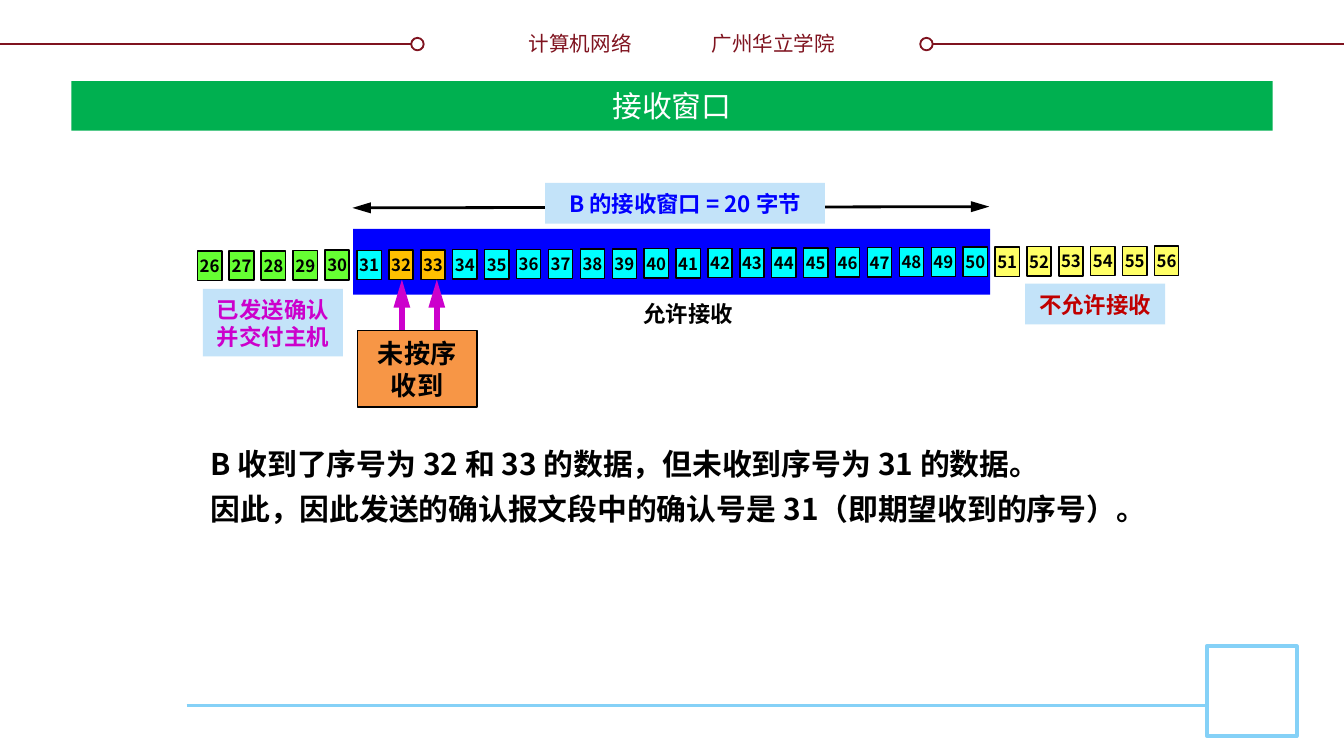
from lxml import etree
from pptx import Presentation
from pptx.dml.color import RGBColor
from pptx.enum import shapes, text
from pptx.oxml import ns
from pptx.util import Pt

FONT = "Noto Sans CJK SC"
BLACK = RGBColor(0, 0, 0)
WHITE = RGBColor(255, 255, 255)
MAROON = RGBColor(0x7F, 0x13, 0x1F)
SKY = RGBColor(0x85, 0xD1, 0xF7)
PALE_BLUE = RGBColor(0xC3, 0xE3, 0xF9)
BLUE = RGBColor(0, 0, 255)
RED = RGBColor(0xC0, 0, 0)
PURPLE = RGBColor(0xCC, 0, 0xCC)
ORANGE = RGBColor(0xF7, 0x96, 0x46)
BANNER = RGBColor(0, 0xB0, 0x50)
GREEN = RGBColor(0x66, 0xFF, 0x33)
CYAN = RGBColor(0, 255, 255)
AMBER = RGBColor(255, 0xC0, 0)
YELLOW = RGBColor(255, 255, 0x66)

CENTER = text.PP_ALIGN.CENTER
MIDDLE = text.MSO_ANCHOR.MIDDLE
RECTANGLE = shapes.MSO_SHAPE.RECTANGLE


def add_figure(page, left, top, width, height, fill, line=None, weight=0.75,
               kind=RECTANGLE):
    figure = page.shapes.add_shape(
        kind, Pt(left), Pt(top), Pt(width), Pt(height))
    figure.shadow.inherit = False
    figure.fill.solid()
    figure.fill.fore_color.rgb = fill
    if line is None:
        figure.line.fill.background()
    else:
        figure.line.color.rgb = line
        figure.line.width = Pt(weight)
    return figure


def add_text_box(page, left, top, width, height):
    return page.shapes.add_textbox(Pt(left), Pt(top), Pt(width), Pt(height))


def write(box, words, size, color, bold=True, align=CENTER, anchor=MIDDLE,
          wrap=False, spacing=None, font=FONT):
    frame = box.text_frame
    frame.text = words
    frame.word_wrap = wrap
    frame.auto_size = text.MSO_AUTO_SIZE.NONE
    frame.vertical_anchor = anchor
    for para in frame.paragraphs:
        para.alignment = align
        if spacing:
            para.line_spacing = Pt(spacing)
        for span in para.runs:
            span.font.name = font
            span.font.size = Pt(size)
            span.font.bold = bold
            span.font.color.rgb = color
            east_asian = etree.SubElement(span.font._element, ns.qn("a:ea"))
            east_asian.set("typeface", FONT)


def add_line(page, start, end, color, weight, arrows=()):
    line = page.shapes.add_connector(
        shapes.MSO_CONNECTOR.STRAIGHT, *map(Pt, start + end))
    line.line.color.rgb = color
    line.line.width = Pt(weight)
    outline = line.line._get_or_add_ln()
    for name in arrows:
        etree.SubElement(outline, ns.qn(name), type="triangle", w="med", len="lg")
    etree.SubElement(line._element.spPr, ns.qn("a:effectLst"))


def add_header(page):
    for start, end, ring in ((0, 227, 220.3), (493, 720, 493)):
        add_line(page, (start, 23.7), (end, 23.7), MAROON, 1)
        add_figure(page, ring, 20.3, 6.7, 6.7, WHITE, MAROON, 1,
                   shapes.MSO_SHAPE.OVAL)
    school = add_text_box(page, 374.2, 12.7, 83.5, 21)
    write(school, "广州华立学院", 11, MAROON, False, text.PP_ALIGN.LEFT)
    course = add_text_box(page, 275.8, 12.7, 69.8, 21)
    write(course, "计算机网络", 11, MAROON, False, text.PP_ALIGN.RIGHT)


def add_footer(page):
    add_line(page, (100, 378), (646.5, 378), SKY, 1.5)
    add_figure(page, 646.5, 346.2, 48.2, 48.2, WHITE, SKY, 2)


def add_title(page):
    title = page.shapes.title
    title.left, title.top, title.width, title.height = map(
        Pt, (38.2, 43.4, 643.6, 26.6))
    title.fill.solid()
    title.fill.fore_color.rgb = BANNER
    write(title, "接收窗口", 16, WHITE, False, wrap=True, font="Montserrat")


def add_label(page, left, top, width, height, words, color, spacing=None):
    label = add_figure(page, left, top, width, height, PALE_BLUE)
    write(label, words, 12, color, spacing=spacing)


def cell_color(number):
    if number <= 30:
        return GREEN
    if number in (32, 33):
        return AMBER
    return CYAN if number <= 50 else YELLOW


def add_byte_cells(page):
    for index, number in enumerate(range(26, 57)):
        fill = cell_color(number)
        cell = add_figure(page, 105.8 + 17.09 * index, 134.5 - 0.09 * index,
                          13, 15.8, fill, BLACK, 1 if fill == GREEN else 0.75)
        frame = cell.text_frame
        frame.margin_left = frame.margin_right = 0
        frame.margin_top = frame.margin_bottom = 0
        write(cell, str(number), 9, BLACK)


def add_window(page):
    add_line(page, (188.8, 111.4), (530, 110.7), BLACK, 1.5,
             ("a:headEnd", "a:tailEnd"))
    add_label(page, 549.2, 152, 75, 21.8, "不允许接收", RED)
    add_label(page, 108.7, 154.8, 75, 36.2, "已发送确认\n并交付主机", PURPLE, 14.4)
    add_label(page, 292, 98, 150, 21.8, "B 的接收窗口 = 20 字节", BLUE)
    allowed = add_text_box(page, 337, 157, 63.4, 21.8)
    write(allowed, "允许接收", 12, BLACK)
    add_figure(page, 189.2, 122.6, 341.2, 35.3, BLUE)
    add_byte_cells(page)


def add_out_of_order_note(page):
    for x in (215.3, 234):
        add_line(page, (x, 190), (x, 149.8), PURPLE, 3, ("a:tailEnd",))
    note = add_figure(page, 191.5, 177.2, 64, 41, ORANGE, BLACK)
    write(note, "未按序收到", 14, BLACK, wrap=True, spacing=17)


def add_explanation(page):
    box = add_figure(page, 105.8, 230.4, 527, 55.4, WHITE)
    box.text_frame.margin_right = 0
    write(box, "B 收到了序号为 32 和 33 的数据，但未收到序号为 31 的数据。\n"
          "因此，因此发送的确认报文段中的确认号是 31（即期望收到的序号）。",
          16, BLACK, align=text.PP_ALIGN.LEFT, anchor=text.MSO_ANCHOR.TOP,
          wrap=True, spacing=24)


def main():
    deck = Presentation()
    deck.slide_width, deck.slide_height = Pt(720), Pt(405)
    page = deck.slides.add_slide(deck.slide_layouts.get_by_name("Title Only"))
    add_header(page)
    add_footer(page)
    add_title(page)
    add_window(page)
    add_out_of_order_note(page)
    add_explanation(page)
    deck.save("out.pptx")


if __name__ == "__main__":
    main()
